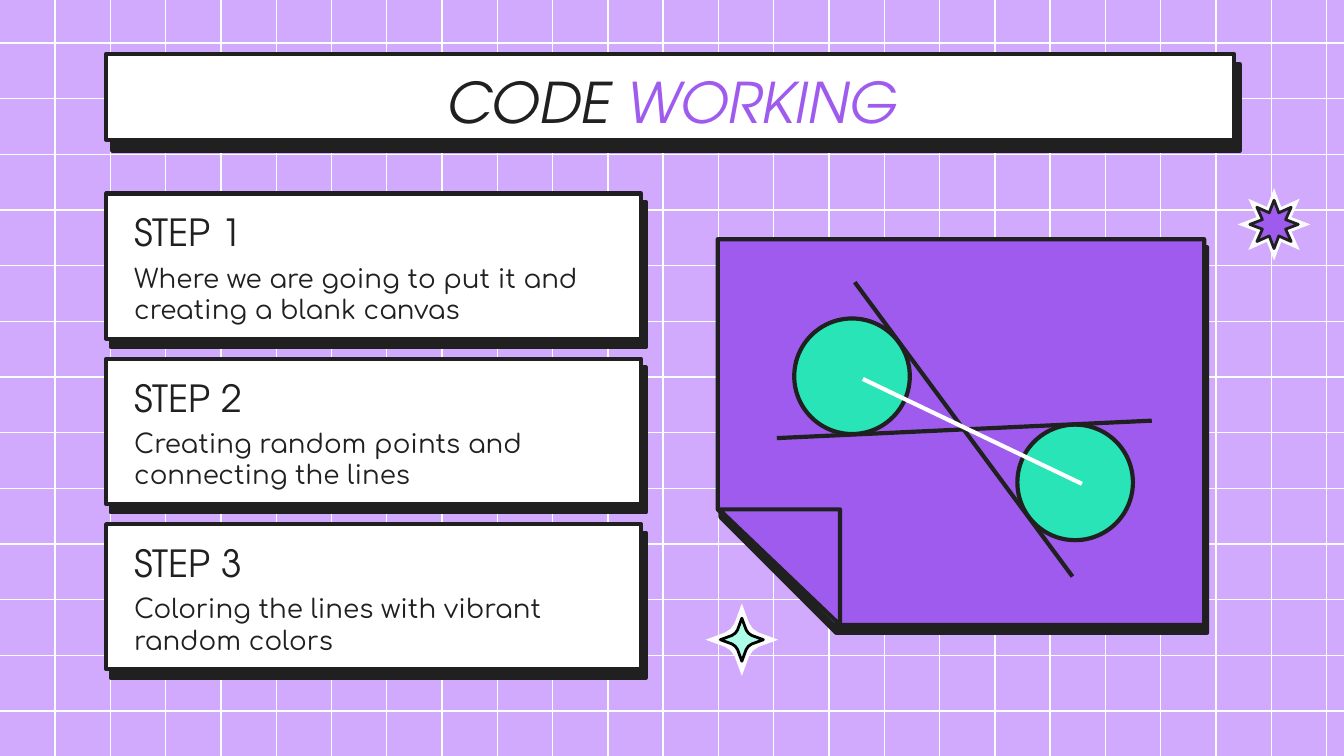
import math

from lxml import etree
from pptx import Presentation
from pptx.dml.color import RGBColor
from pptx.enum import shapes, text
from pptx.oxml import ns
from pptx.util import Inches, Pt

INK, PURPLE, WHITE, MINT = "202020", "9E5BEE", "FFFFFF", "28E4B7"
HEADING, BODY = "TeX Gyre Adventor", "Comfortaa"
SHAPE = shapes.MSO_SHAPE
WIDTH, HEIGHT = 10, 10 * 9 / 16


def rgb(color):
    return RGBColor.from_string(color)


def style(sp, fill=None, line=None, width=2.25, shadow=None):
    """Set fill and line; shadow is (distance in points, angle in degrees)."""
    if fill:
        sp.fill.solid()
        sp.fill.fore_color.rgb = rgb(fill)
    if line:
        sp.line.color.rgb = rgb(line)
        sp.line.width = Pt(width)
        if fill:
            etree.SubElement(sp.line._get_or_add_ln(), ns.qn("a:round"))
    else:
        sp.line.fill.background()
    effects = etree.SubElement(sp._element.spPr, ns.qn("a:effectLst"))
    if shadow:
        distance, angle = shadow
        outer = etree.SubElement(effects, ns.qn("a:outerShdw"), dist=str(Pt(distance)),
                                 dir=str(angle * 60000), algn="bl", rotWithShape="0")
        etree.SubElement(outer, ns.qn("a:srgbClr"), val=INK)


prs = Presentation()
prs.slide_width, prs.slide_height = Inches(WIDTH), Inches(HEIGHT)
s = prs.slides.add_slide(prs.slide_layouts[6])
s.background.fill.solid()
s.background.fill.fore_color.rgb = rgb("D1AAFD")

# Background grid
rows = [0.32 + 4.97 * i / 12 for i in range(13)]
columns = [0.41 + 9.46 * i / 23 for i in range(24)]
grid = [(0, y, WIDTH, y) for y in rows] + [(x, 0, x, HEIGHT) for x in columns]
for ends in grid:
    cx = s.shapes.add_connector(shapes.MSO_CONNECTOR.STRAIGHT, *map(Inches, ends))
    style(cx, line=WHITE, width=0.75)

# White panels, sheet of paper and its folded corner
step_tops = [1.44 + 1.23 * i for i in range(3)]
panels = [(SHAPE.RECTANGLE, (0.79, y, 3.98, 1.08), WHITE, (5.2, 61), 0) for y in step_tops]
panels += [
    (SHAPE.RECTANGLE, (0.79, 0.4, 8.39, 0.64), WHITE, (6.7, 60), 0),
    (SHAPE.SNIP_1_RECTANGLE, (5.34, 1.78, 3.62, 2.87), PURPLE, (4.5, 70), 180),
    (SHAPE.RIGHT_TRIANGLE, (5.35, 3.79, 0.9, 0.86), PURPLE, None, 180),
]
for kind, box, fill, shadow, rotation in panels:
    sp = s.shapes.add_shape(kind, *map(Inches, box))
    style(sp, fill, INK, shadow=shadow)
    sp.rotation = rotation
    if kind == SHAPE.SNIP_1_RECTANGLE:
        sp.adjustments[0] = 0.3

# Title and step texts: box, runs, size, font
steps = [
    ("STEP 1", "Where we are going to put it and creating a blank canvas"),
    ("STEP 2", "Creating random points and connecting the lines"),
    ("STEP 3", "Coloring the lines with vibrant random colors"),
]
title_runs = [("CODE ", INK), ("WORKING", PURPLE)]
texts = [((0.79, 0.4, 8.42, 0.63), title_runs, 30, HEADING)]
for y, (name, detail) in zip(step_tops, steps):
    texts.append(((0.9, y + 0.02, 2.11, 0.43), [(name, INK)], 20, HEADING))
    texts.append(((0.9, y + 0.41, 3.58, 0.63), [(detail, INK)], 14, BODY))
for box, runs, size, font in texts:
    tf = s.shapes.add_textbox(*map(Inches, box)).text_frame
    tf.word_wrap = True
    tf.vertical_anchor = text.MSO_ANCHOR.TOP
    tf.margin_left = tf.margin_right = tf.margin_top = tf.margin_bottom = Inches(0.1)
    p = tf.paragraphs[0]
    p.font.size, p.font.name = Pt(size), font
    if runs is title_runs:
        p.alignment = text.PP_ALIGN.CENTER
        p.font.italic = True
    for words, color in runs:
        r = p.add_run()
        r.text = words
        r.font.color.rgb = rgb(color)

# Circles with their tangents and the line between them
for x, y in [(5.91, 2.37), (7.57, 3.16)]:
    sp = s.shapes.add_shape(SHAPE.OVAL, Inches(x), Inches(y), Inches(0.86), Inches(0.86))
    style(sp, MINT, INK)
for ends, color in [((6.36, 2.1, 7.98, 4.29), INK),
                    ((5.78, 3.26, 8.57, 3.13), INK),
                    ((6.42, 2.82, 8.05, 3.6), WHITE)]:
    cx = s.shapes.add_connector(shapes.MSO_CONNECTOR.STRAIGHT, *map(Inches, ends))
    style(cx, line=color)

# Stars: one arm as (angle, share of the radius), repeated around the centre
four_arm = [(0, 1), (23.5, 0.5), (45, 0.43), (66.5, 0.5)]
eight_arm = [(0, 1), (22.5, 0.52)]
for x, y, radius, arm, count, fill, line in [
    (5.52, 4.76, 0.27, four_arm, 4, "FCFCFC", None),
    (5.52, 4.76, 0.16, four_arm, 4, "ADFEE7", "000000"),
    (9.48, 1.67, 0.27, eight_arm, 8, "FCFCFC", None),
    (9.48, 1.67, 0.18, eight_arm, 8, PURPLE, INK),
]:
    points = []
    for i in range(count):
        for angle, share in arm:
            a = math.radians(360 / count * i + angle)
            points.append((Inches(x + radius * share * math.sin(a)),
                           Inches(y - radius * share * math.cos(a))))
    outline = s.shapes.build_freeform(*points[0])
    outline.add_line_segments(points[1:], close=True)
    style(outline.convert_to_shape(), fill, line, 1.5)

prs.save("out.pptx")
